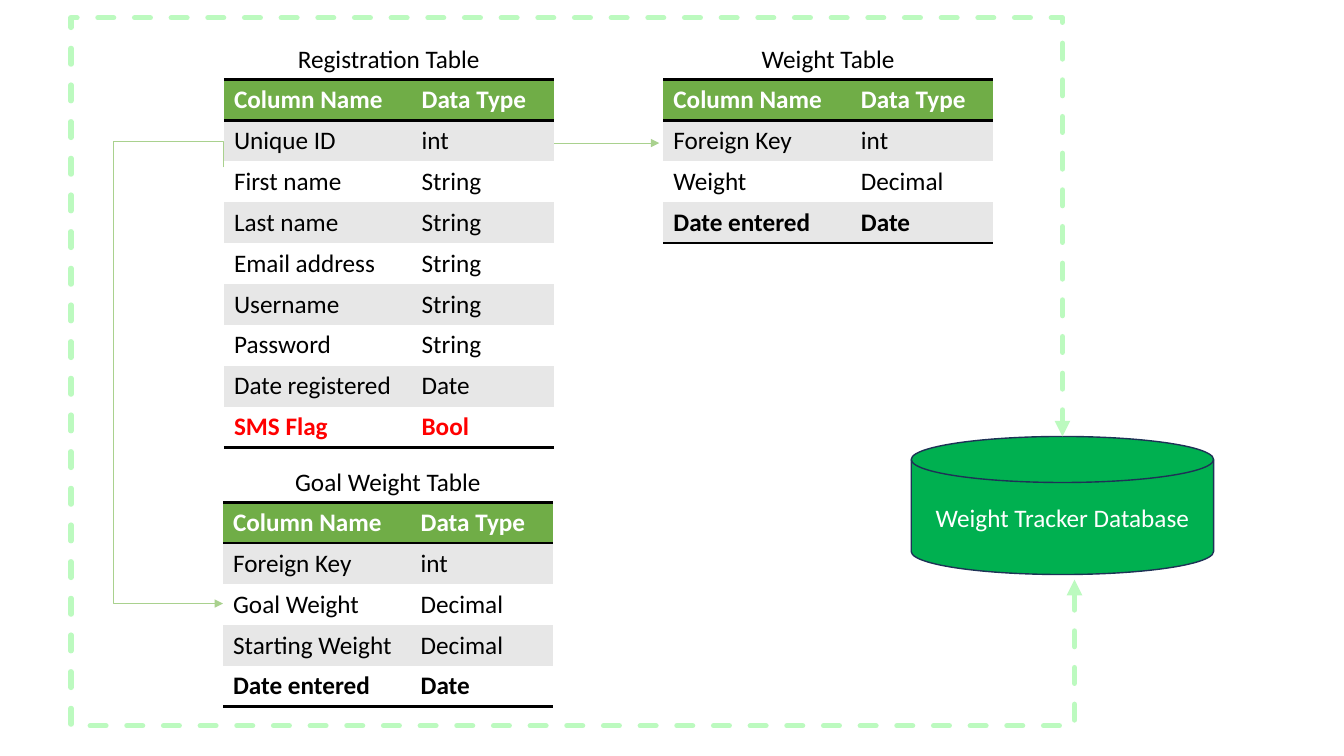
from lxml import etree
from pptx import Presentation
from pptx.dml import color
from pptx.enum import dml, shapes, text
from pptx.oxml import ns
from pptx.util import Pt

COLORS = {
    "white": "FFFFFF", "black": "000000", "red": "FF0000", "header": "70AD47",
    "band": "E7E7E7", "key": "A9D18E", "flow": "BCFABF",
    "disk": "00B050", "disk_edge": "1E3256",
}
FONT = "Calibri"
PLAIN_TABLE = "{2D5ABB26-0587-4C30-8999-92F81FD0307C}"
ROW_HEIGHT = 29.2
COLUMN_WIDTHS = (134, 101.5)
HEADER = ("Column Name", "Data Type")
REGISTRATION = [
    ("Unique ID", "int"), ("First name", "String"), ("Last name", "String"),
    ("Email address", "String"), ("Username", "String"), ("Password", "String"),
    ("Date registered", "Date"), ("SMS Flag", "Bool"),
]
WEIGHT = [("Foreign Key", "int"), ("Weight", "Decimal"), ("Date entered", "Date")]
GOAL = [
    ("Foreign Key", "int"), ("Goal Weight", "Decimal"),
    ("Starting Weight", "Decimal"), ("Date entered", "Date"),
]


def rgb(name):
    return color.RGBColor.from_string(COLORS[name])


def write(frame, words, ink, bold=False, align=None):
    frame.text = words
    para = frame.paragraphs[0]
    para.alignment = align
    font = para.runs[0].font
    font.name, font.size, font.bold = FONT, Pt(18), bold
    font.color.rgb = rgb(ink)


def rule_cell(cell, *sides):
    properties = cell._tc.get_or_add_tcPr()
    for index, side in enumerate(sides):
        edge = etree.Element(ns.qn(f"a:{side}"), w=str(Pt(2)))
        fill = etree.SubElement(edge, ns.qn("a:solidFill"))
        etree.SubElement(fill, ns.qn("a:srgbClr"), val=COLORS["black"])
        properties.insert(index, edge)


def add_caption(page, words, left, top, width):
    box = page.shapes.add_textbox(Pt(left), Pt(top), Pt(width), Pt(ROW_HEIGHT))
    box.text_frame.word_wrap = True
    write(box.text_frame, words, "black", align=text.PP_ALIGN.CENTER)


def add_schema(page, caption, fields, left, top, last_ink="black"):
    rows = [HEADER] + fields
    width = sum(COLUMN_WIDTHS)
    add_caption(page, caption, left, top - ROW_HEIGHT, width)
    frame = page.shapes.add_table(len(rows), len(HEADER), Pt(left), Pt(top),
                                  Pt(width), Pt(ROW_HEIGHT * len(rows)))
    table = frame.table
    table.first_row = table.horz_banding = False
    table._tbl.tblPr.find(ns.qn("a:tableStyleId")).text = PLAIN_TABLE
    for column, column_width in zip(table.columns, COLUMN_WIDTHS):
        column.width = Pt(column_width)
    last = len(rows) - 1
    for r, row in enumerate(rows):
        table.rows[r].height = Pt(ROW_HEIGHT)
        shade = "header" if r == 0 else "band" if r % 2 else "white"
        ink = "white" if r == 0 else last_ink if r == last else "black"
        for c, words in enumerate(row):
            cell = table.cell(r, c)
            write(cell.text_frame, words, ink, bold=r in (0, last))
            cell.fill.solid()
            cell.fill.fore_color.rgb = rgb(shade)
            if r == 0:
                rule_cell(cell, "lnT", "lnB")
            elif r == last:
                rule_cell(cell, "lnB")


def style_arrow(arrow, ink, width, ends):
    arrow.line.color.rgb = rgb(ink)
    arrow.line.width = Pt(width)
    if ink == "flow":
        arrow.line.dash_style = dml.MSO_LINE.DASH
    line = arrow.line._get_or_add_ln()
    if ink == "flow":
        line.set("cap", "rnd")
    for end in ends:
        etree.SubElement(line, ns.qn(f"a:{end}"), type="triangle")
    etree.SubElement(arrow._element.spPr, ns.qn("a:effectLst"))


def add_elbow(page, start, end, lanes, rotation):
    (x1, y1), (x2, y2) = start, end
    length, depth = abs(y2 - y1), abs(x2 - x1)
    left, top = (x1 + x2 - length) / 2, (y1 + y2 - depth) / 2
    near, far = top, top + depth
    if rotation == 270:
        near, far = far, near
    arrow = page.shapes.add_connector(shapes.MSO_CONNECTOR.ELBOW, Pt(left), Pt(near),
                                      Pt(left + length), Pt(far))
    arrow.rotation = rotation
    geometry = arrow._element.spPr.find(ns.qn("a:prstGeom"))
    geometry.set("prst", f"bentConnector{len(lanes) + 2}")
    guides = geometry.find(ns.qn("a:avLst"))
    for index, lane in enumerate(lanes):
        ratio = (lane - x1) / (x2 - x1) if index % 2 else (lane - y1) / (y2 - y1)
        etree.SubElement(guides, ns.qn("a:gd"), name=f"adj{index + 1}",
                         fmla=f"val {round(ratio * 100000)}")
    return arrow


def add_database(page, left, top, width, height):
    disk = page.shapes.add_shape(shapes.MSO_SHAPE.FLOWCHART_MAGNETIC_DISK,
                                 Pt(left), Pt(top), Pt(width), Pt(height))
    disk.shadow.inherit = False
    disk.fill.solid()
    disk.fill.fore_color.rgb = rgb("disk")
    disk.line.color.rgb = rgb("disk_edge")
    disk.line.width = Pt(1)
    disk.text_frame.word_wrap = True
    disk.text_frame.vertical_anchor = text.MSO_ANCHOR.MIDDLE
    write(disk.text_frame, "Weight Tracker Database", "white",
          align=text.PP_ALIGN.CENTER)


def add_links(page):
    goal_link = add_elbow(page, (159.8, 119.5), (159.3, 431.1), (100.8, 82.5), 90)
    style_arrow(goal_link, "key", 0.5, ["tailEnd"])
    weight_link = page.shapes.add_connector(shapes.MSO_CONNECTOR.STRAIGHT, Pt(396),
                                            Pt(102.2), Pt(470.9), Pt(102.2))
    style_arrow(weight_link, "key", 0.5, ["tailEnd"])
    database_loop = add_elbow(page, (767.5, 414), (758.9, 311.8),
                              (518.4, 49.7, 12.7), 270)
    style_arrow(database_loop, "flow", 3.75, ["headEnd", "tailEnd"])


def main():
    deck = Presentation()
    deck.slide_width, deck.slide_height = Pt(960), Pt(540)
    page = deck.slides.add_slide(deck.slide_layouts[6])
    add_schema(page, "Registration Table", REGISTRATION, 160, 56.9, "red")
    add_schema(page, "Weight Table", WEIGHT, 473.8, 56.9)
    add_schema(page, "Goal Weight Table", GOAL, 159.3, 358.8)
    add_database(page, 650.9, 311.8, 216, 98.6)
    add_links(page)
    deck.save("out.pptx")


if __name__ == "__main__":
    main()
